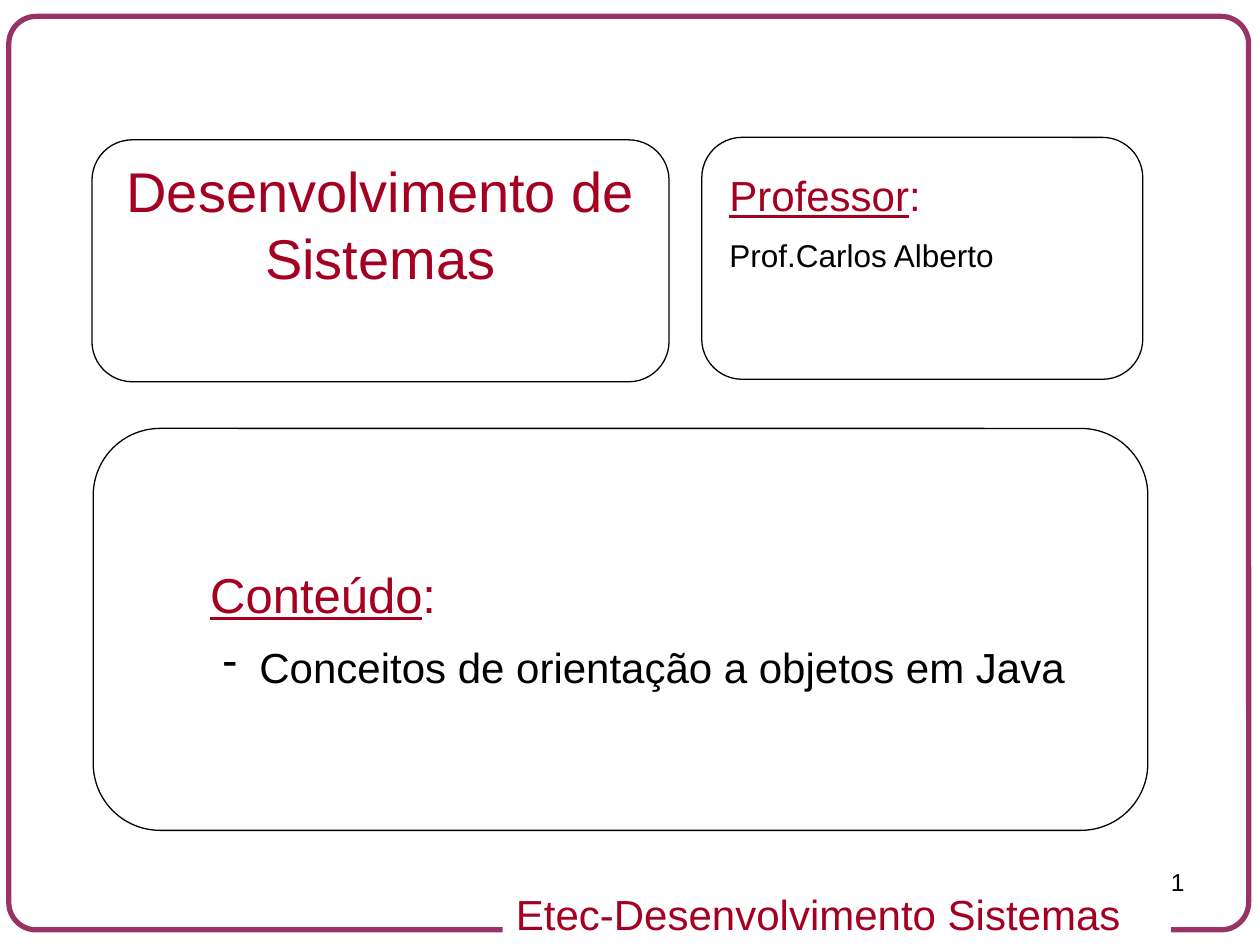
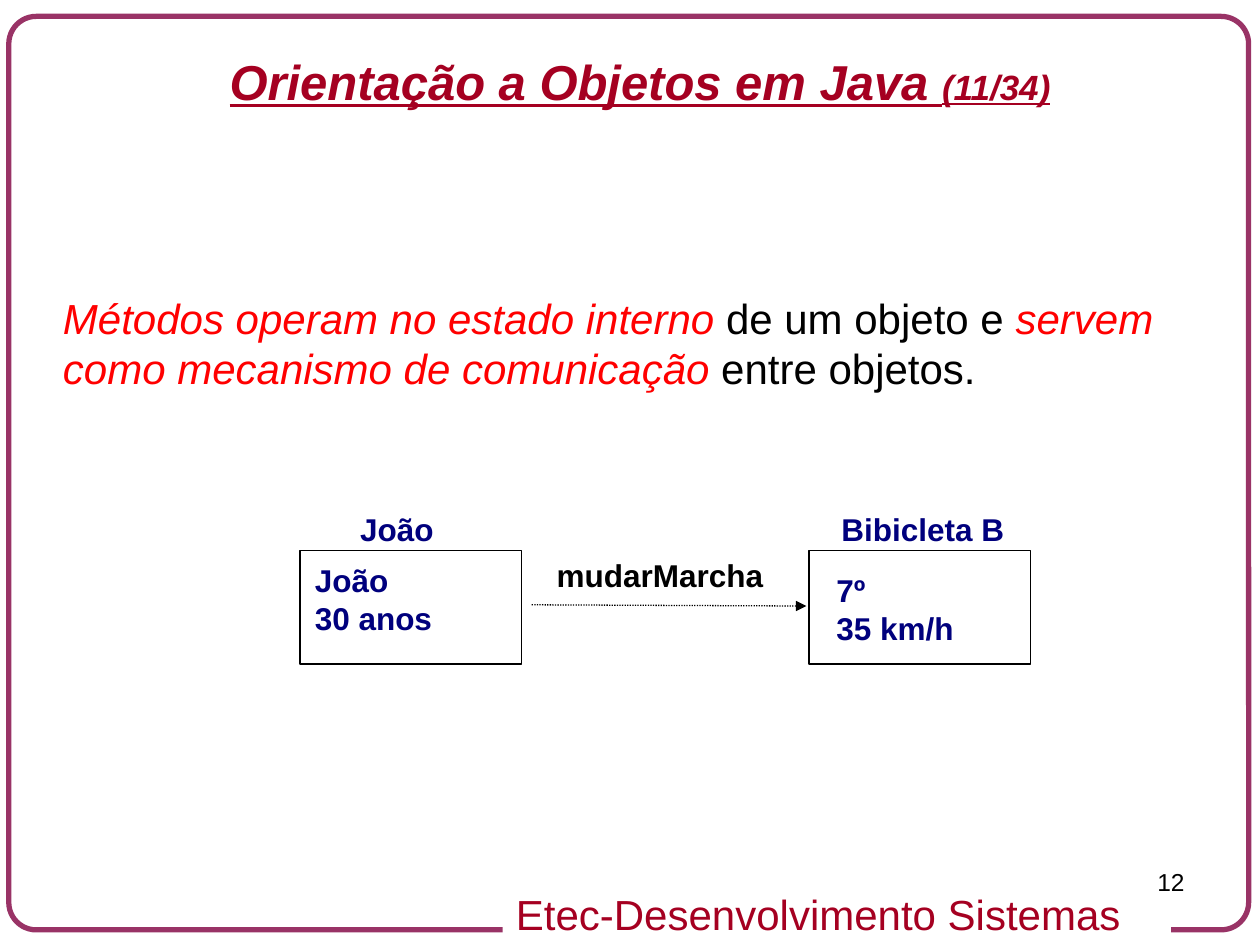
"""Build two lesson slides about object orientation in Java."""
from dataclasses import dataclass

import lxml.etree
import pptx
import pptx.dml.color
import pptx.enum.dml
import pptx.enum.shapes
import pptx.enum.text
import pptx.oxml.ns
import pptx.util

Inches = pptx.util.Inches
Pt = pptx.util.Pt
Align = pptx.enum.text.PP_ALIGN
Shape = pptx.enum.shapes.MSO_SHAPE

FONT = "Arial"
CRIMSON = "A50021"
PLUM = "993366"
NAVY = "00007D"
RED = "FF0000"
BLACK = "000000"
WHITE = "FFFFFF"
FOOTER = "Etec-Desenvolvimento Sistemas "


@dataclass(frozen=True)
class Span:
    """A stretch of text in one style."""
    text: str
    size: float
    color: str = BLACK
    bold: bool = False
    italic: bool = False
    underline: bool = False

    def style(self) -> tuple:
        """Return everything but the wording."""
        return self.size, self.color, self.bold, self.italic, self.underline


@dataclass(frozen=True)
class Para:
    """A paragraph with its spacing and optional dash bullet."""
    spans: tuple[Span, ...]
    align: Align = Align.LEFT
    before: float = 0
    spacing: float = 1
    dashed: bool = False


@dataclass(frozen=True)
class Box:
    """A rectangle on the page, in inches."""
    left: float
    top: float
    width: float
    height: float

    def lengths(self) -> tuple:
        """Return the rectangle as lengths."""
        return tuple(Inches(n) for n in (self.left, self.top, self.width, self.height))


@dataclass(frozen=True)
class Instance:
    """An object of the diagram: its name, frame, state and text places."""
    name: str
    left: float
    name_left: float
    state_left: float
    state_top: float
    state: tuple[str, ...]


INSTANCES = (
    Instance("João", 2.38, 2.76, 2.4, 4.53, ("João", "30 anos")),
    Instance("Bibicleta B", 6.42, 6.58, 6.54, 4.61, ("7º", "35 km/h")),
)
PANELS = (
    Box(0.73, 1.11, 4.58, 1.92),
    Box(0.74, 3.4, 8.37, 3.19),
    Box(5.57, 1.09, 3.5, 1.92),
)


def rgb(color: str) -> pptx.dml.color.RGBColor:
    """Turn a hex string into a colour."""
    return pptx.dml.color.RGBColor.from_string(color)


def set_font(font, span: Span) -> None:
    """Give a font the style of a span."""
    font.name = FONT
    font.size = Pt(span.size)
    font.color.rgb = rgb(span.color)
    font.bold = span.bold
    font.italic = span.italic
    font.underline = span.underline


def add_dash(paragraph) -> None:
    """Hang a paragraph behind a dash."""
    properties = paragraph._p.get_or_add_pPr()
    properties.set("marL", str(Inches(0.39)))
    properties.set("indent", str(Inches(-0.29)))
    bullet = lxml.etree.SubElement(properties, pptx.oxml.ns.qn("a:buChar"))
    bullet.set("char", "-")


def write(shape, paras: tuple[Para, ...], inset: bool = True) -> None:
    """Fill a shape with paragraphs."""
    frame = shape.text_frame
    frame.word_wrap = True
    frame.vertical_anchor = pptx.enum.text.MSO_ANCHOR.TOP
    frame.margin_left = frame.margin_right = Inches(0.1 if inset else 0)
    frame.margin_top = frame.margin_bottom = Inches(0.05 if inset else 0)
    for index, para in enumerate(paras):
        paragraph = frame.add_paragraph() if index else frame.paragraphs[0]
        paragraph.alignment = para.align
        paragraph.line_spacing = para.spacing
        if index:
            paragraph.space_before = Pt(para.before)
        if para.dashed:
            add_dash(paragraph)
        runs = []
        for span in para.spans:
            run = paragraph.add_run()
            run.text = span.text
            runs.append(run)
        if len({span.style() for span in para.spans}) == 1:
            set_font(paragraph.font, para.spans[0])
        else:
            for run, span in zip(runs, para.spans):
                set_font(run.font, span)


def add_text(page, box: Box, *paras: Para, inset: bool = True) -> None:
    """Place a text box."""
    write(page.shapes.add_textbox(*box.lengths()), paras, inset)


def add_outline(page, kind: Shape, box: Box, color: str, weight: float):
    """Place an unfilled shape with a line."""
    shape = page.shapes.add_shape(kind, *box.lengths())
    shape.shadow.inherit = False
    shape.fill.background()
    shape.line.color.rgb = rgb(color)
    shape.line.width = Pt(weight)
    return shape


def add_line(page, start: tuple, end: tuple, color: str, weight: float):
    """Place a straight connector without shadow."""
    line = page.shapes.add_connector(
        pptx.enum.shapes.MSO_CONNECTOR.STRAIGHT,
        *(Inches(n) for n in start + end))
    line.line.color.rgb = rgb(color)
    line.line.width = Pt(weight)
    lxml.etree.SubElement(line._element.spPr, pptx.oxml.ns.qn("a:effectLst"))
    return line


def add_arrow(page, start: tuple, end: tuple) -> None:
    """Place a dotted arrow."""
    arrow = add_line(page, start, end, BLACK, 0.75)
    arrow.line.dash_style = pptx.enum.dml.MSO_LINE.ROUND_DOT
    head = lxml.etree.SubElement(arrow.line._get_or_add_ln(), pptx.oxml.ns.qn("a:tailEnd"))
    head.set("type", "triangle")


def add_page(deck, number: int):
    """Add a page with the frame, footer and page number."""
    page = deck.slides.add_slide(deck.slide_layouts[6])
    frame = add_outline(page, Shape.ROUNDED_RECTANGLE, Box(0.07, 0.13, 9.84, 7.25), PLUM, 3)
    frame.adjustments[0] = 0.03
    add_line(page, (8.46, 7.37), (9.29, 7.37), WHITE, 4.5)
    footer = page.shapes.add_shape(Shape.RECTANGLE, *Box(3.99, 7, 5.1, 0.5).lengths())
    footer.shadow.inherit = False
    footer.fill.solid()
    footer.fill.fore_color.rgb = rgb(WHITE)
    footer.line.fill.background()
    write(footer, (Para((Span(FOOTER, 24, CRIMSON),), Align.CENTER),))
    add_text(page, Box(7.17, 6.83, 2.33, 0.52),
             Para((Span(str(number), 14),), Align.RIGHT))
    return page


def heading(text: str, size: float) -> Para:
    """Make an underlined heading followed by a colon."""
    return Para((Span(text, size, CRIMSON, underline=True), Span(":", size, CRIMSON)))


def label(text: str, color: str = NAVY) -> Para:
    """Make a tight bold line of the diagram."""
    return Para((Span(text, 18, color, bold=True),), before=11.2, spacing=0.5)


def build_cover(deck) -> None:
    """Build the cover with course, teacher and contents."""
    page = add_page(deck, 1)
    add_text(page, Box(0.74, 1.19, 4.56, 1.17),
             Para((Span("Desenvolvimento de Sistemas", 32, CRIMSON),), Align.CENTER))
    add_text(page, Box(5.69, 1.3, 3.08, 1.27),
             heading("Professor", 24),
             Para((Span("Prof.Carlos Alberto", 18),), before=9.2))
    for panel in PANELS:
        add_outline(page, Shape.ROUNDED_RECTANGLE, panel, BLACK, 0.75)
    add_text(page, Box(1.57, 4.43, 7.01, 1.12),
             heading("Conteúdo", 28),
             Para((Span("Conceitos de orientação a objetos em Java", 24),),
                  before=10.35, dashed=True))


def build_methods(deck) -> None:
    """Build the page on methods with its message diagram."""
    page = add_page(deck, 12)
    add_text(page, Box(1.18, 0.36, 7.8, 0.57), Para((
        Span("Orientação a Objetos em Java ", 28, CRIMSON, True, True, True),
        Span("(11/34)", 20, CRIMSON, True, True, True)), Align.CENTER))
    add_text(page, Box(0.5, 2.32, 9, 4.25), Para((
        Span("Métodos operam no estado interno", 24, RED, italic=True),
        Span(" de um objeto e ", 24),
        Span("servem como mecanismo de comunicação", 24, RED, italic=True),
        Span(" entre objetos.", 24))), inset=False)
    for item in INSTANCES:
        add_outline(page, Shape.RECTANGLE, Box(item.left, 4.37, 1.76, 0.9), BLACK, 1)
        add_text(page, Box(item.name_left, 4.13, 2.69, 0.25), label(item.name))
        add_text(page, Box(item.state_left, item.state_top, 2.69, 0.56),
                 *(label(value) for value in item.state))
    add_arrow(page, (4.22, 4.8), (6.4, 4.81))
    add_text(page, Box(4.32, 4.49, 2.69, 0.25), label("mudarMarcha", BLACK))


def main() -> None:
    """Build and save the deck."""
    deck = pptx.Presentation()
    deck.slide_width, deck.slide_height = Inches(10), Inches(7.5)
    build_cover(deck)
    build_methods(deck)
    deck.save("out.pptx")


if __name__ == "__main__":
    main()
